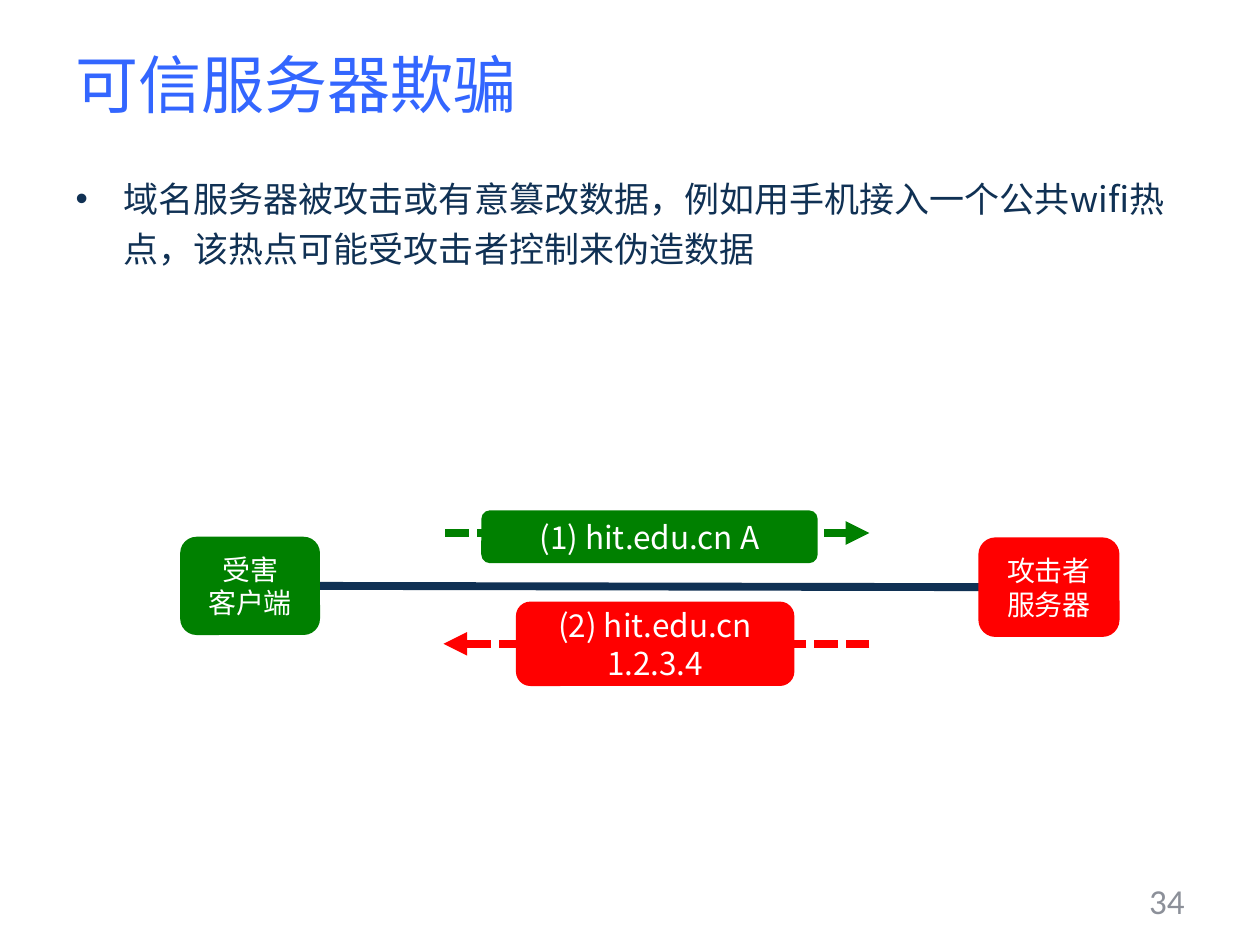
from pptx import Presentation
from pptx import util as u
from pptx.dml.color import RGBColor
from pptx.enum import dml, shapes, text
from pptx.oxml.ns import qn
from lxml import etree

COLORS = {
    "title": "3366FF",
    "navy": "103154",
    "client": "008000",
    "attacker": "FF0000",
    "white": "FFFFFF",
    "number": "8C9099",
}
CELL = 0.1
COLUMNS, ROWS = 100, 75
CJK_FONT = "Noto Sans CJK SC"


def grid(*cells):
    return [u.Inches(round(cell * CELL, 3)) for cell in cells]


def color(name):
    return RGBColor.from_string(COLORS[name])


def write(shape, content, size, fill, font=CJK_FONT, align=text.PP_ALIGN.LEFT,
          anchor=text.MSO_ANCHOR.MIDDLE, spacing=None, hanging=None):
    frame = shape.text_frame
    frame.word_wrap = True
    frame.vertical_anchor = anchor
    frame.text = content
    for paragraph in frame.paragraphs:
        paragraph.alignment = align
        paragraph.space_before = u.Pt(0)
        if spacing:
            paragraph.line_spacing = spacing
        if hanging:
            properties = paragraph._p.get_or_add_pPr()
            properties.set("marL", str(u.Inches(hanging)))
            properties.set("indent", str(-u.Inches(hanging)))
        for run in paragraph.runs:
            run.font.size = u.Pt(size)
            run.font.name = font
            run.font.color.rgb = color(fill)
            east_asian = etree.SubElement(run._r.rPr, qn("a:ea"))
            east_asian.set("typeface", font)


def place(shape, *cells):
    shape.left, shape.top, shape.width, shape.height = grid(*cells)


def add_box(parent, cells, content, fill, size, outlined=False):
    box = parent.add_shape(shapes.MSO_SHAPE.ROUNDED_RECTANGLE, *grid(*cells))
    box.shadow.inherit = False
    box.fill.solid()
    box.fill.fore_color.rgb = color(fill)
    if outlined:
        box.line.color.rgb = color(fill)
        box.line.width = u.Pt(0.75)
    else:
        box.line.fill.background()
    write(box, content, size, "white", align=text.PP_ALIGN.CENTER)
    return box


def add_line(parent, start, end, fill, arrow=None):
    line = parent.add_connector(shapes.MSO_CONNECTOR.STRAIGHT,
                                *grid(*start, *end))
    line.line.width = u.Pt(4.5)
    line.line.color.rgb = color(fill)
    if arrow:
        line.line.dash_style = dml.MSO_LINE.SQUARE_DOT
        tip = etree.SubElement(line.line._get_or_add_ln(), qn(f"a:{arrow}"))
        tip.set("type", "triangle")
    etree.SubElement(line._element.spPr, qn("a:effectLst"))
    return line


def add_message(slide, row, arrow, label_cells, content, fill, outlined=False):
    group = slide.shapes.add_group_shape()
    add_line(group.shapes, (69, row), (35.2, row), fill, arrow)
    add_box(group.shapes, label_cells, content, fill, 18, outlined)


def main():
    presentation = Presentation()
    presentation.slide_width, presentation.slide_height = grid(COLUMNS, ROWS)
    slide = presentation.slides.add_slide(presentation.slide_layouts[1])

    title, body = slide.placeholders
    place(title, 5, 0.4, 90, 12.5)
    write(title, "可信服务器欺骗", 36, "title")
    place(body, 5, 12.9, 90, 13.2)
    write(body, "域名服务器被攻击或有意篡改数据，例如用手机接入一个公共wifi热点，"
          "该热点可能受攻击者控制来伪造数据", 20, "navy",
          anchor=text.MSO_ANCHOR.TOP, spacing=1.2, hanging=0.38)

    number = slide.shapes.add_textbox(*grid(71.7, 69.5, 23.3, 4))
    write(number, "34", 20, "number", font="Calibri",
          align=text.PP_ALIGN.RIGHT)

    client = add_box(slide.shapes, (14.3, 42.6, 11.1, 7.8),
                     "受害\n客户端", "client", 16)
    add_message(slide, 42.3, "headEnd", (38.2, 40.5, 26.7, 4.2),
                "(1) hit.edu.cn A", "client")
    link = add_line(slide.shapes, (77.7, 46.6), (25.4, 46.5), "navy")
    attacker = add_box(slide.shapes, (77.7, 42.7, 11.1, 7.8),
                       "攻击者服务器", "attacker", 16, outlined=True)
    link.begin_connect(attacker, 1)
    link.end_connect(client, 3)
    add_message(slide, 51.1, "tailEnd", (41, 47.8, 22, 6.6),
                "(2) hit.edu.cn\n1.2.3.4", "attacker", outlined=True)

    presentation.save("out.pptx")


if __name__ == "__main__":
    main()
